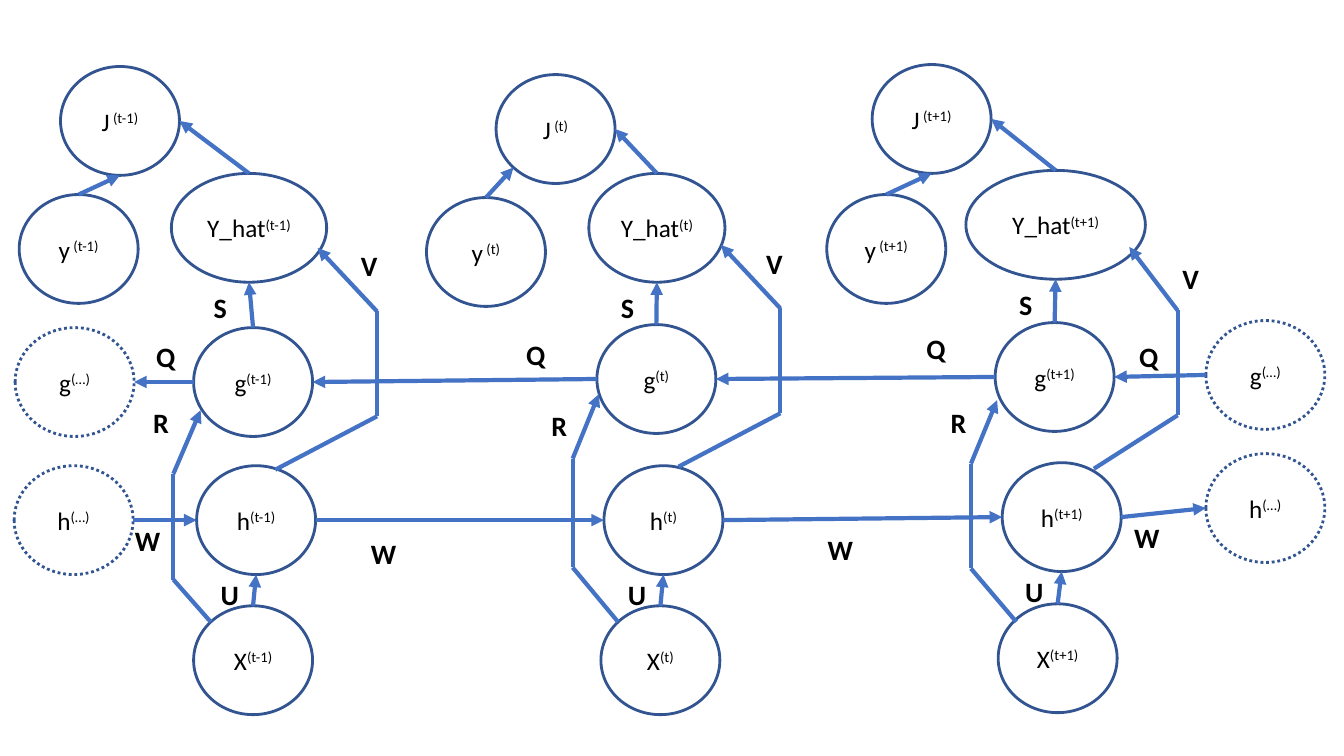
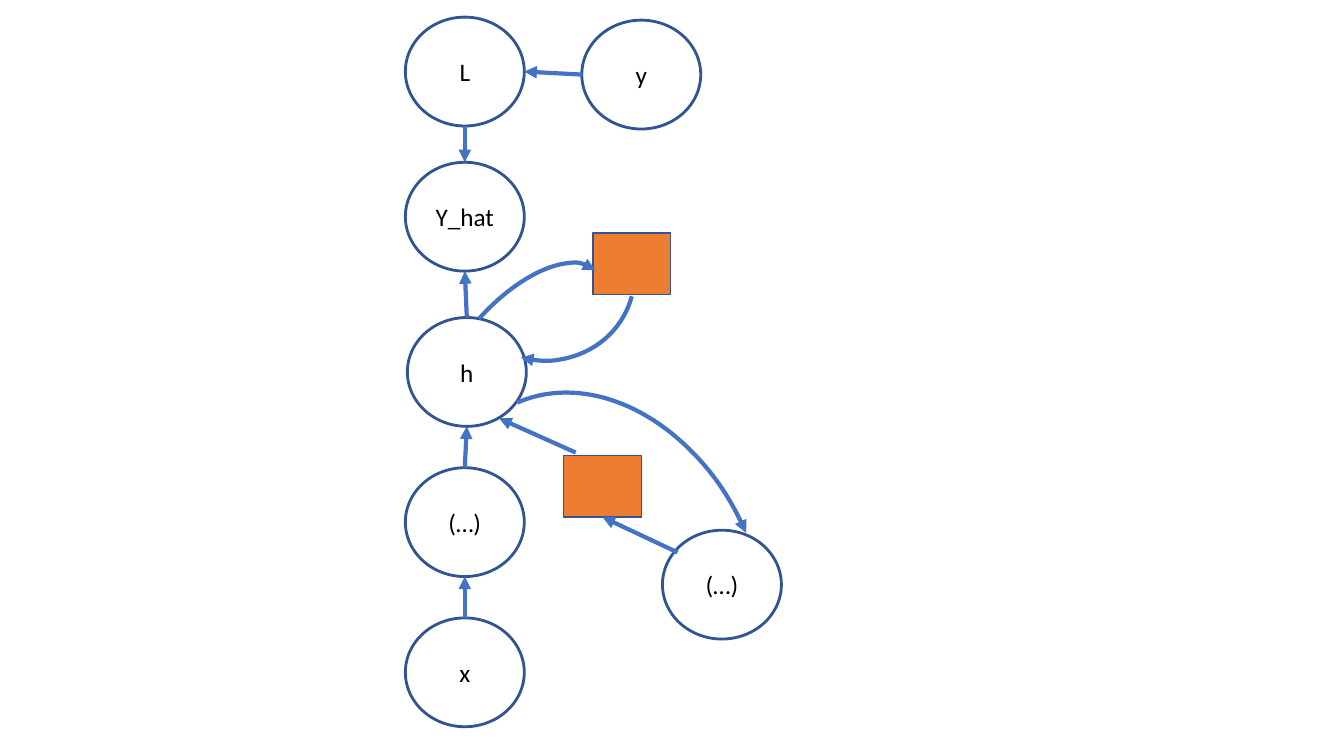
from itertools import pairwise
from math import cos, radians, sin

from lxml.etree import SubElement
from pptx import Presentation
from pptx.dml.color import RGBColor
from pptx.enum.dml import MSO_LINE
from pptx.enum.shapes import MSO_CONNECTOR, MSO_SHAPE
from pptx.enum.text import MSO_ANCHOR, PP_ALIGN
from pptx.oxml.ns import qn
from pptx.util import Inches, Pt

FONT = "Calibri"
BLACK, OUTLINE, ARROW, ORANGE = "000000", "325491", "4472C4", "ED7D31"
NODE_W, NODE_H = 1.18, 1.08
BOX_W, BOX_H = 0.77, 0.61

# Ellipse connection sites, counted anticlockwise from the top
TOP, TOP_LEFT, LEFT, BOTTOM_LEFT, BOTTOM, BOTTOM_RIGHT, RIGHT, TOP_RIGHT = range(8)

# Network unrolled in time: each step has nodes as (left, top[, width])
STEPS = [
    {"time": "(t-1)", "target_end": BOTTOM,
     "nodes": {"Y_hat": (1.7, 1.72, 1.54), "h": (1.95, 4.62), "X": (1.92, 6.01),
               "y": (0.19, 1.93), "J": (0.6, 0.66), "g": (1.92, 3.25)},
     "R": [(2.09, 6.17), (1.72, 5.75), (1.72, 4.7), (1.99, 4.07)],
     "V": [(2.73, 4.66), (3.74, 4.13), (3.74, 3.09), (3.15, 2.46)]},
    {"time": "(t)", "target_end": BOTTOM_LEFT,
     "nodes": {"Y_hat": (5.84, 1.72, 1.35), "h": (5.99, 4.62), "X": (5.96, 6.01),
               "y": (4.23, 1.96), "J": (4.92, 0.74), "g": (5.92, 3.22)},
     "R": [(6.13, 6.17), (5.68, 5.63), (5.68, 4.55), (5.94, 3.91)],
     "V": [(6.73, 4.63), (7.74, 4.1), (7.74, 3.06), (7.15, 2.43)]},
    {"time": "(t+1)", "target_end": BOTTOM,
     "nodes": {"Y_hat": (9.58, 1.69, 1.78), "h": (9.94, 4.59), "X": (9.9, 5.99),
               "y": (8.2, 1.93), "J": (8.65, 0.64), "g": (9.87, 3.2)},
     "R": [(10.08, 6.17), (9.63, 5.64), (9.63, 4.6), (9.89, 3.97)],
     "V": [(10.85, 4.65), (11.68, 4.12), (11.68, 3.08), (11.2, 2.45)]},
]
BEYOND = {"h": [(0.14, 4.62), (11.96, 4.5)], "g": [(0.15, 3.25), (11.96, 3.18)]}
WEIGHTS = {
    "S": [(2.02, 2.83), (6.06, 2.83), (10.01, 2.8)],
    "U": [(2.09, 5.68), (6.13, 5.68), (10.07, 5.65)],
    "W": [(1.24, 5.14), (3.58, 5.27), (8.11, 5.23), (11.15, 5.11)],
    "V": [(3.48, 2.42), (7.5, 2.4), (11.63, 2.55)],
    "R": [(1.42, 3.97), (5.37, 4), (9.33, 3.97)],
    "Q": [(1.45, 3.32), (5.12, 3.3), (9.09, 3.24), (11.2, 3.32)],
}

# Folded network
FOLDED = {"L": ("L", 4.02, 0.17), "y": ("y", 5.77, 0.2), "Y_hat": ("Y_hat", 4.02, 1.61),
          "h": ("h", 4.04, 3.15), "input": ("(…)", 4.02, 4.64), "x": ("x", 4.02, 6.13),
          "loop": ("(…)", 6.57, 5.26)}
FOLDED_LINKS = [("y", LEFT, "L", RIGHT), ("L", BOTTOM, "Y_hat", TOP),
                ("h", TOP, "Y_hat", BOTTOM), ("input", TOP, "h", BOTTOM),
                ("x", TOP, "input", BOTTOM)]
DELAYS = [(5.88, 2.31), (5.59, 4.52)]
ARCS = [(4.4, 3.82, 3.13, 4.18, 336.5), (4.03, 2.98, 2.25, 1.08, 311.8),
        (4.52, 1.8, 1.73, 1.82, 104.6)]


def rgb(color):
    return RGBColor.from_string(color)


def add_run(p, text, size, bold=False, raised=False):
    r = p.add_run()
    r.text = text
    r.font.name, r.font.size, r.font.bold = FONT, Pt(size), bold
    r.font.color.rgb = rgb(BLACK)
    if raised:
        r.font._element.set("baseline", "30000")


def shape(s, kind, x, y, w, h, color=OUTLINE, width=2, fill=None):
    sp = s.shapes.add_shape(kind, Inches(x), Inches(y), Inches(w), Inches(h))
    sp.shadow.inherit = False
    if fill:
        sp.fill.solid()
        sp.fill.fore_color.rgb = rgb(fill)
    else:
        sp.fill.background()
    sp.line.color.rgb, sp.line.width = rgb(color), Pt(width)
    return sp


def node(s, name, x, y, w=NODE_W, time="", dotted=False):
    sp = shape(s, MSO_SHAPE.OVAL, x, y, w, NODE_H)
    if dotted:
        sp.line.dash_style = MSO_LINE.ROUND_DOT
    tf = sp.text_frame
    tf.word_wrap, tf.vertical_anchor = False, MSO_ANCHOR.MIDDLE
    p = tf.paragraphs[0]
    p.alignment = PP_ALIGN.CENTER
    add_run(p, name, 18)
    if time:
        add_run(p, time, 18, raised=True)
    return sp


def add_head(sp):
    """Put an arrowhead at the end of a line or arc."""
    SubElement(sp._element.spPr.find(qn("a:ln")), qn("a:tailEnd"), type="triangle")


def line(s, start, end, head=True):
    c = s.shapes.add_connector(MSO_CONNECTOR.STRAIGHT, *map(Inches, start + end))
    c.line.color.rgb, c.line.width = rgb(ARROW), Pt(3)
    if head:
        add_head(c)
    SubElement(c._element.spPr, qn("a:effectLst"))
    return c


def site_point(sp, site):
    """Place of an ellipse connection site, in inches."""
    angle = radians(90 + 45 * site)
    return ((sp.left + sp.width / 2 * (1 + cos(angle))) / Inches(1),
            (sp.top + sp.height / 2 * (1 - sin(angle))) / Inches(1))


def link(s, a, a_site, b, b_site):
    """Arrow attached to two ellipses, which have eight sites each."""
    c = line(s, site_point(a, a_site), site_point(b, b_site))
    props = c._element.find(".//" + qn("p:cNvCxnSpPr"))
    for tag, sp, site in (("a:stCxn", a, a_site), ("a:endCxn", b, b_site)):
        SubElement(props, qn(tag), id=str(sp.shape_id), idx=str(site))


def route(s, points):
    """Bent arrow made of straight segments."""
    for start, end in pairwise(points):
        line(s, start, end, head=end == points[-1])


def weight(s, letter, x, y):
    tf = s.shapes.add_textbox(Inches(x), Inches(y), Inches(0.5), Inches(0.44)).text_frame
    tf.word_wrap = True
    add_run(tf.paragraphs[0], letter, 20, bold=True)


def unrolled_slide(s):
    chains = {"h": [], "g": []}
    for step in STEPS:
        n = {}
        for name, place in step["nodes"].items():
            gap = " " if name in "yJ" else ""
            n[name] = node(s, name, *place, time=gap + step["time"])
        link(s, n["y"], TOP, n["J"], step["target_end"])
        link(s, n["Y_hat"], TOP, n["J"], RIGHT)
        link(s, n["g"], TOP, n["Y_hat"], BOTTOM)
        link(s, n["X"], TOP, n["h"], BOTTOM)
        for name in chains:
            chains[name].append(n[name])
        route(s, step["R"])
        route(s, step["V"])
    for name, chain in chains.items():
        first, last = (node(s, name, *place, time="(…)", dotted=True)
                       for place in BEYOND[name])
        for a, b in pairwise([first, *chain, last]):
            if name == "h":
                link(s, a, RIGHT, b, LEFT)
            else:
                link(s, b, LEFT, a, RIGHT)
    for letter, places in WEIGHTS.items():
        for x, y in places:
            weight(s, letter, x, y)


def folded_slide(s):
    n = {key: node(s, *args) for key, args in FOLDED.items()}
    for a, a_site, b, b_site in FOLDED_LINKS:
        link(s, n[a], a_site, n[b], b_site)
    delays = [shape(s, MSO_SHAPE.RECTANGLE, x, y, BOX_W, BOX_H, width=1, fill=ORANGE)
              for x, y in DELAYS]
    for *box, turn in ARCS:
        arc = shape(s, MSO_SHAPE.ARC, *box, color=ARROW, width=3)
        arc.rotation = turn
        add_head(arc)
    line(s, (5.71, 4.49), (4.95, 4.15))
    line(s, (6.72, 5.48), (5.97, 5.14)).end_connect(delays[1], 2)


def main():
    prs = Presentation()
    prs.slide_width, prs.slide_height = Inches(13.33), Inches(7.5)
    for build in (unrolled_slide, folded_slide):
        build(prs.slides.add_slide(prs.slide_layouts[6]))
    prs.save("out.pptx")


if __name__ == "__main__":
    main()
